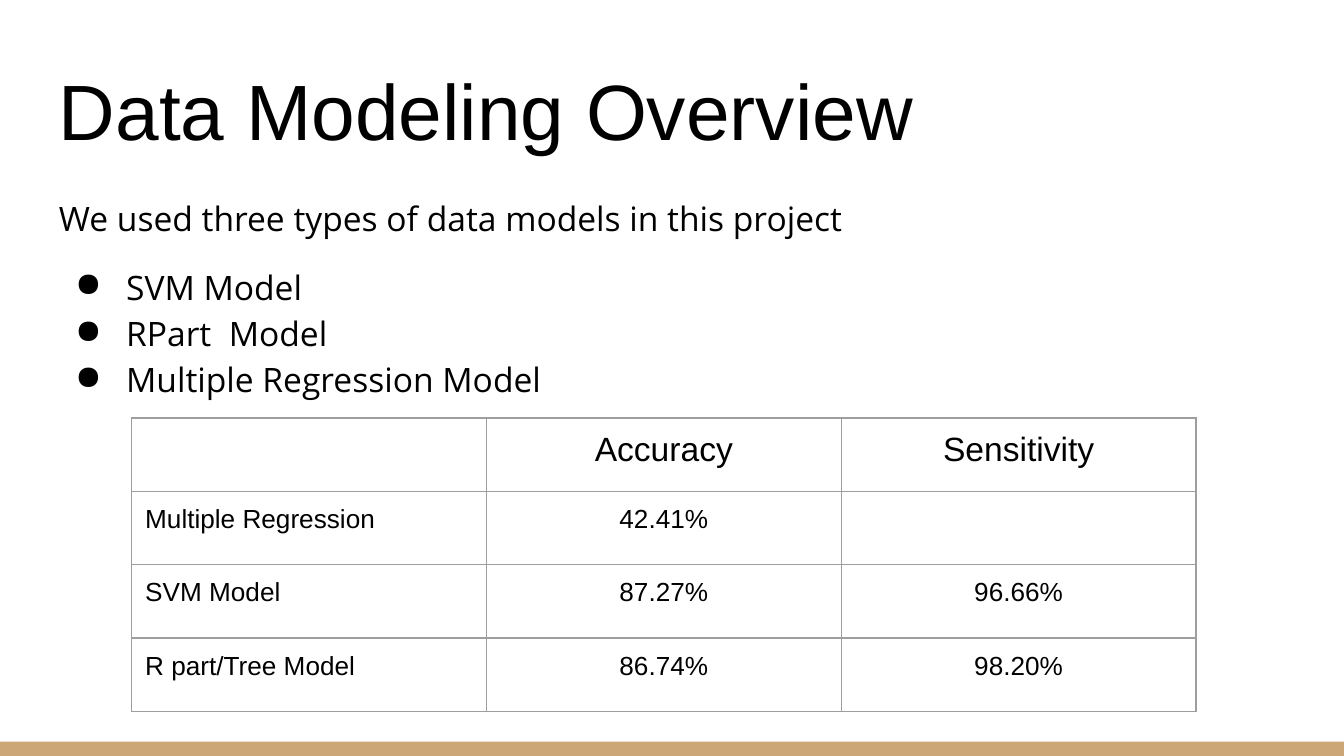
from dataclasses import dataclass

from lxml.etree import SubElement
from pptx import Presentation
from pptx.dml.color import RGBColor
from pptx.enum.shapes import MSO_SHAPE
from pptx.enum.text import MSO_ANCHOR, PP_ALIGN
from pptx.oxml.ns import qn
from pptx.util import Inches, Pt


@dataclass(frozen=True)
class Theme:
    background: str = "FFFFFF"
    text: str = "000000"
    accent: str = "CCA677"
    border: str = "9E9E9E"
    heading_font: str = "Arial"
    body_font: str = "Open Sans"
    title_size: int = 42
    body_size: int = 18
    cell_size: int = 14
    border_width: float = 0.75
    inset: float = 0.1
    line_spacing: float = 1.15


class SlideBuilder:
    """Places elements on one slide; areas are percentages of its size."""

    def __init__(self, presentation, theme):
        self.theme = theme
        self.width = presentation.slide_width
        self.height = presentation.slide_height
        self.slide = presentation.slides.add_slide(presentation.slide_layouts[6])
        fill = self.slide.background.fill
        fill.solid()
        fill.fore_color.rgb = RGBColor.from_string(theme.background)

    def area(self, left, top, width, height):
        return (
            int(self.width * left / 100),
            int(self.height * top / 100),
            int(self.width * width / 100),
            int(self.height * height / 100),
        )

    def set_insets(self, holder):
        """Give a text frame or a table cell the theme's margins."""
        inset = Inches(self.theme.inset)
        holder.margin_left = holder.margin_right = inset
        holder.margin_top = holder.margin_bottom = inset

    def run(self, paragraph, text, size, font_name):
        run = paragraph.add_run()
        run.text = text
        run.font.size = Pt(size)
        run.font.name = font_name
        run.font.color.rgb = RGBColor.from_string(self.theme.text)

    def bar(self, area):
        shape = self.slide.shapes.add_shape(MSO_SHAPE.RECTANGLE, *self.area(*area))
        shape.shadow.inherit = False
        shape.fill.solid()
        shape.fill.fore_color.rgb = RGBColor.from_string(self.theme.accent)
        shape.line.fill.background()

    def text_frame(self, area, anchor):
        frame = self.slide.shapes.add_textbox(*self.area(*area)).text_frame
        frame.word_wrap = True
        frame.vertical_anchor = anchor
        self.set_insets(frame)
        return frame

    def title(self, area, text):
        frame = self.text_frame(area, MSO_ANCHOR.BOTTOM)
        self.run(frame.paragraphs[0], text, self.theme.title_size, self.theme.heading_font)

    def bulleted_text(self, area, introduction, items):
        frame = self.text_frame(area, MSO_ANCHOR.TOP)
        for index, text in enumerate([introduction, *items]):
            paragraph = frame.add_paragraph() if index else frame.paragraphs[0]
            paragraph.line_spacing = self.theme.line_spacing
            if index == 1:
                paragraph.space_before = Pt(12)
            if index:
                self.bullet(paragraph)
            self.run(paragraph, text, self.theme.body_size, self.theme.body_font)

    def bullet(self, paragraph):
        properties = paragraph._p.get_or_add_pPr()
        properties.set("marL", str(Inches(0.5)))
        properties.set("indent", str(-Inches(0.38)))
        color = SubElement(properties, qn("a:buClr"))
        SubElement(color, qn("a:srgbClr"), val=self.theme.text)
        SubElement(properties, qn("a:buChar"), char="●")

    def table(self, left, top, column_width, row_height, rows):
        row_count, column_count = len(rows), len(rows[0])
        area = self.area(left, top, column_width * column_count, row_height * row_count)
        table = self.slide.shapes.add_table(row_count, column_count, *area).table
        for row_index, row in enumerate(rows):
            size = self.theme.cell_size if row_index else self.theme.body_size
            for column_index, text in enumerate(row):
                cell = table.cell(row_index, column_index)
                self.set_insets(cell)
                self.cell_borders(cell)
                cell.fill.background()
                paragraph = cell.text_frame.paragraphs[0]
                if column_index:
                    paragraph.alignment = PP_ALIGN.CENTER
                if text:
                    self.run(paragraph, text, size, self.theme.heading_font)

    def cell_borders(self, cell):
        properties = cell._tc.get_or_add_tcPr()
        for side in ("a:lnL", "a:lnR", "a:lnT", "a:lnB"):
            line = SubElement(properties, qn(side), w=str(Pt(self.theme.border_width)))
            fill = SubElement(line, qn("a:solidFill"))
            SubElement(fill, qn("a:srgbClr"), val=self.theme.border)


def main():
    presentation = Presentation()
    presentation.slide_width = Inches(10)
    presentation.slide_height = Inches(10) * 9 // 16

    builder = SlideBuilder(presentation, Theme())
    builder.bar((0, 98.1, 100, 1.9))
    builder.title((3.4, 6.2, 93.2, 16.2), "Data Modeling Overview")
    builder.bulleted_text(
        (3.4, 23.6, 93.2, 65.2),
        "We used three types of data models in this project",
        ["SVM Model", "RPart  Model", "Multiple Regression Model"],
    )
    builder.table(
        left=9.8,
        top=55.3,
        column_width=26.4,
        row_height=9.7,
        rows=[
            ("", "Accuracy", "Sensitivity"),
            ("Multiple Regression", "42.41%", ""),
            ("SVM Model", "87.27%", "96.66%"),
            ("R part/Tree Model", "86.74%", "98.20%"),
        ],
    )
    presentation.save("out.pptx")


if __name__ == "__main__":
    main()
